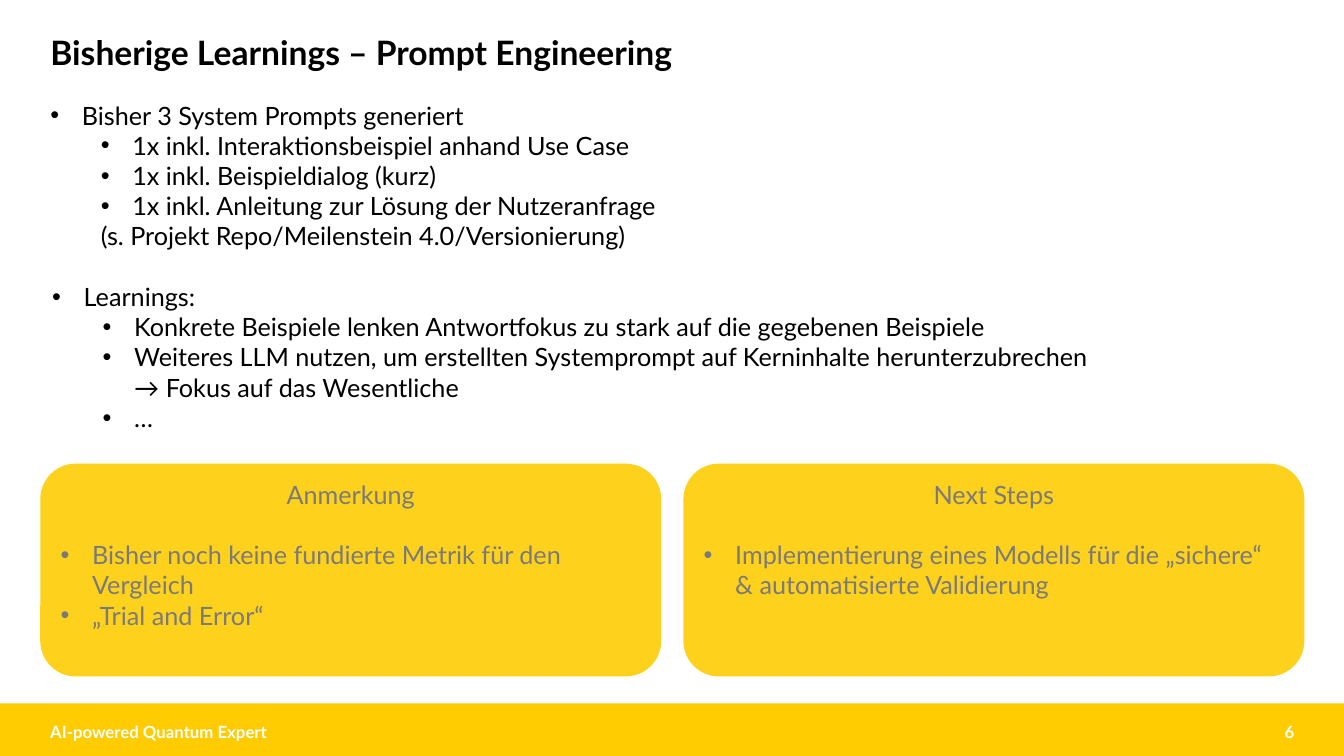
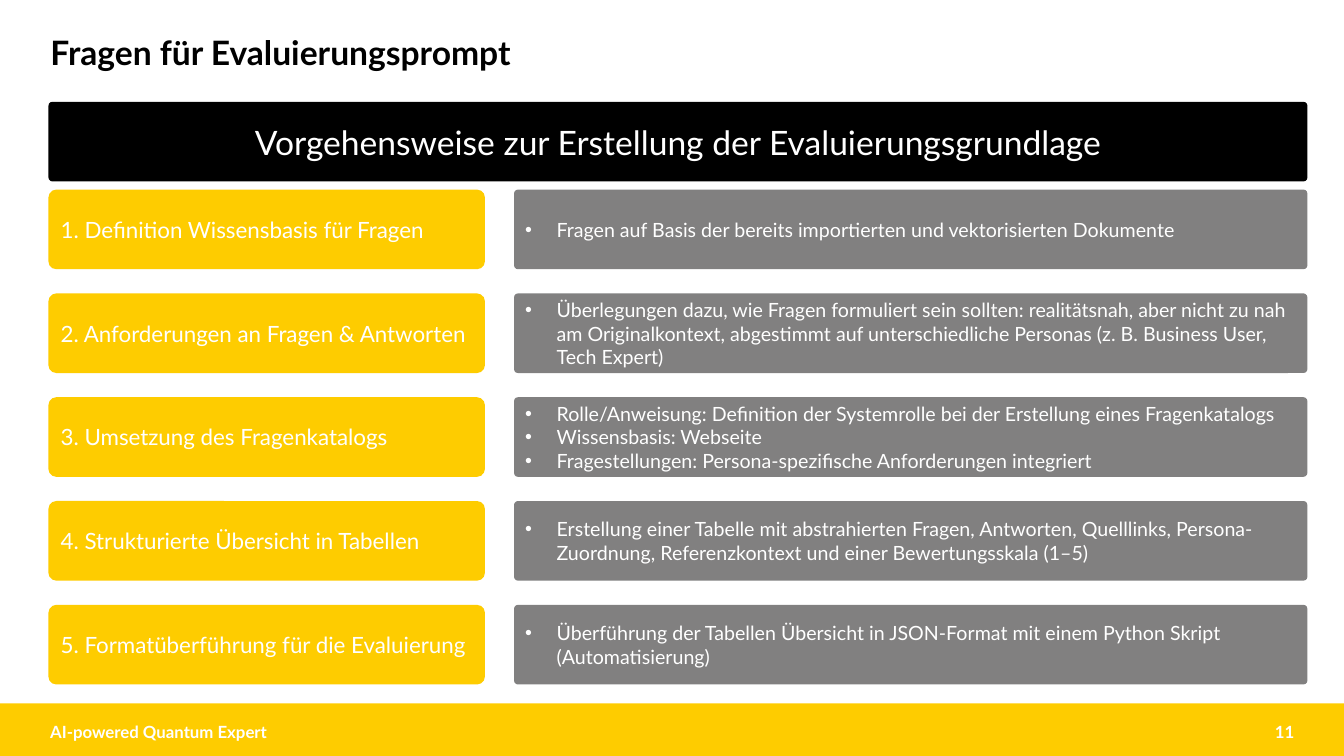
"""Build two slides on prompt engineering learnings and evaluation questions."""
from lxml import etree
from pptx import Presentation
from pptx.dml.color import RGBColor
from pptx.enum.shapes import MSO_SHAPE
from pptx.enum.text import MSO_ANCHOR, MSO_AUTO_SIZE, PP_ALIGN
from pptx.oxml.ns import qn
from pptx.util import Pt

RECTANGLE, ROUNDED = MSO_SHAPE.RECTANGLE, MSO_SHAPE.ROUNDED_RECTANGLE
TOP, MIDDLE = MSO_ANCHOR.TOP, MSO_ANCHOR.MIDDLE
LEFT, CENTER, RIGHT = PP_ALIGN.LEFT, PP_ALIGN.CENTER, PP_ALIGN.RIGHT
NO_AUTOFIT = MSO_AUTO_SIZE.NONE

BLACK = RGBColor(0x00, 0x00, 0x00)
WHITE = RGBColor(0xFF, 0xFF, 0xFF)
YELLOW = RGBColor(0xFE, 0xCC, 0x00)
CARD_YELLOW = RGBColor(0xFE, 0xD1, 0x1C)
GRAY = RGBColor(0x81, 0x80, 0x80)
TEXT_GRAY = RGBColor(0x7B, 0x7A, 0x7A)

FONT = "Lato"
HANGING = 22.5
BLANK_LINE = 21.6
MARGIN = 28.8
CONTENT_RIGHT = 931.7


def write_text(text_frame, entries, size, color, bold=False, align=LEFT, anchor=TOP):
    """Write (text, level, indent, bulleted, space before) entries as paragraphs."""
    text_frame.word_wrap = True
    text_frame.auto_size = NO_AUTOFIT
    text_frame.vertical_anchor = anchor
    text_frame.text = "\n".join(entry[0] for entry in entries)
    for paragraph, entry in zip(text_frame.paragraphs, entries):
        text, level, indent, bulleted, space = entry
        paragraph.level = level
        paragraph.alignment = align
        paragraph.space_before = Pt(space)
        for run in paragraph.runs:
            run.font.name = FONT
            run.font.size = Pt(size)
            run.font.bold = bold
            run.font.color.rgb = color
        properties = paragraph._p.get_or_add_pPr()
        properties.set("marL", str(Pt(indent)))
        properties.set("indent", str(Pt(-HANGING if bulleted else 0)))
        if bulleted:
            etree.SubElement(properties, qn("a:buFont"), typeface="Arial")
            etree.SubElement(properties, qn("a:buChar"), char="•")
        else:
            etree.SubElement(properties, qn("a:buNone"))


def add_box(slide, left, top, width, height, fill, kind=ROUNDED, corner=None):
    """Add a filled shape without line or shadow."""
    shape = slide.shapes.add_shape(kind, Pt(left), Pt(top), Pt(width), Pt(height))
    shape.shadow.inherit = False
    shape.fill.solid()
    shape.fill.fore_color.rgb = fill
    shape.line.fill.background()
    if corner is not None:
        shape.adjustments[0] = corner
    return shape


presentation = Presentation()
presentation.slide_width = Pt(960)
presentation.slide_height = Pt(540)
content_layout = presentation.slide_layouts[1]
title_layout = presentation.slide_layouts[5]

slides = []
for layout, title, number in [
    (content_layout, "Bisherige Learnings – Prompt Engineering", "6"),
    (title_layout, "Fragen für Evaluierungsprompt", "11"),
]:
    slide = presentation.slides.add_slide(layout)
    slides.append(slide)
    add_box(slide, 0, 502.5, 960, 37.5, YELLOW, RECTANGLE)
    heading = slide.shapes.title
    heading.left, heading.top = Pt(MARGIN), Pt(22.3)
    heading.width, heading.height = Pt(677.5), Pt(33.8)
    write_text(heading.text_frame, [(title, 0, 0, False, 0)], 24, BLACK, True, anchor=MIDDLE)
    heading.text_frame.paragraphs[0].line_spacing = 0.9
    for text, left, width, align in [
        ("AI-powered Quantum Expert", MARGIN, 324, LEFT),
        (number, CONTENT_RIGHT - 216, 216, RIGHT),
    ]:
        footer = slide.shapes.add_textbox(Pt(left), Pt(515.5), Pt(width), Pt(15))
        write_text(footer.text_frame, [(text, 0, 0, False, 0)], 12, WHITE, True, align, MIDDLE)

learnings_slide, evaluation_slide = slides

body = learnings_slide.placeholders[1]
body.left, body.top = Pt(MARGIN), Pt(67.7)
body.width, body.height = Pt(902.9), Pt(255)
write_text(body.text_frame, [
    ("Bisher 3 System Prompts generiert", 0, 22.5, True, 0),
    ("1x inkl. Interaktionsbeispiel anhand Use Case", 1, 58.5, True, 0),
    ("1x inkl. Beispieldialog (kurz)", 1, 58.5, True, 0),
    ("1x inkl. Anleitung zur Lösung der Nutzeranfrage", 1, 58.5, True, 0),
    ("(s. Projekt Repo/Meilenstein 4.0/Versionierung)", 1, 36, False, 0),
    ("Learnings:", 0, 23.8, True, BLANK_LINE),
    ("Konkrete Beispiele lenken Antwortfokus zu stark auf die gegebenen Beispiele", 1, 59.8, True, 0),
    ("Weiteres LLM nutzen, um erstellten Systemprompt auf Kerninhalte herunterzubrechen", 1, 59.8, True, 0),
    ("→ Fokus auf das Wesentliche", 1, 59.8, False, 0),
    ("…", 1, 59.8, True, 0),
], 18, BLACK)

CARD_WIDTH = 443.5
for left, card_title, points in [
    (MARGIN, "Anmerkung", [
        "Bisher noch keine fundierte Metrik für den Vergleich",
        "„Trial and Error“",
    ]),
    (CONTENT_RIGHT - CARD_WIDTH, "Next Steps", [
        "Implementierung eines Modells für die „sichere“ & automatisierte Validierung",
    ]),
]:
    card = add_box(learnings_slide, left, 331.2, CARD_WIDTH, 152, CARD_YELLOW)
    entries = [(card_title, 0, 0, False, 0)]
    entries += [(point, 0, HANGING, True, 0) for point in points]
    write_text(card.text_frame, entries, 18, TEXT_GRAY)
    card_heading, first_point = card.text_frame.paragraphs[:2]
    card_heading.alignment = CENTER
    first_point.space_before = Pt(BLANK_LINE)

STEP_LEFT, STEP_HEIGHT, STEP_PITCH = 34.6, 56.9, 74.16
banner = add_box(evaluation_slide, STEP_LEFT, 72.7, 899.3, STEP_HEIGHT, BLACK, corner=0.05)
banner_text = "Vorgehensweise zur Erstellung der Evaluierungsgrundlage"
write_text(banner.text_frame, [(banner_text, 0, 0, False, 0)], 24, WHITE, align=CENTER, anchor=MIDDLE)

steps = [
    ("1. Definition Wissensbasis für Fragen", [
        "Fragen auf Basis der bereits importierten und vektorisierten Dokumente",
    ]),
    ("2. Anforderungen an Fragen & Antworten", [
        "Überlegungen dazu, wie Fragen formuliert sein sollten: realitätsnah, aber nicht zu nah "
        "am Originalkontext, abgestimmt auf unterschiedliche Personas (z. B. Business User, "
        "Tech Expert)",
    ]),
    ("3. Umsetzung des Fragenkatalogs", [
        "Rolle/Anweisung: Definition der Systemrolle bei der Erstellung eines Fragenkatalogs",
        "Wissensbasis: Webseite",
        "Fragestellungen: Persona-spezifische Anforderungen integriert",
    ]),
    ("4. Strukturierte Übersicht in Tabellen", [
        "Erstellung einer Tabelle mit abstrahierten Fragen, Antworten, Quelllinks, "
        "Persona-Zuordnung, Referenzkontext und einer Bewertungsskala (1–5)",
    ]),
    ("5. Formatüberführung für die Evaluierung", [
        "Überführung der Tabellen Übersicht in JSON-Format mit einem Python Skript (Automatisierung)",
    ]),
]
for index, (step, details) in enumerate(steps):
    top = 135.4 + index * STEP_PITCH
    label = add_box(evaluation_slide, STEP_LEFT, top, 311.8, STEP_HEIGHT, YELLOW, corner=0.1)
    write_text(label.text_frame, [(step, 0, 0, False, 0)], 16, WHITE, anchor=MIDDLE)
    detail_box = add_box(evaluation_slide, 367.2, top, 566.7, STEP_HEIGHT, GRAY, corner=0.05)
    entries = [(detail, 0, HANGING, True, 0) for detail in details]
    write_text(detail_box.text_frame, entries, 14, WHITE, anchor=MIDDLE)

presentation.save("out.pptx")
